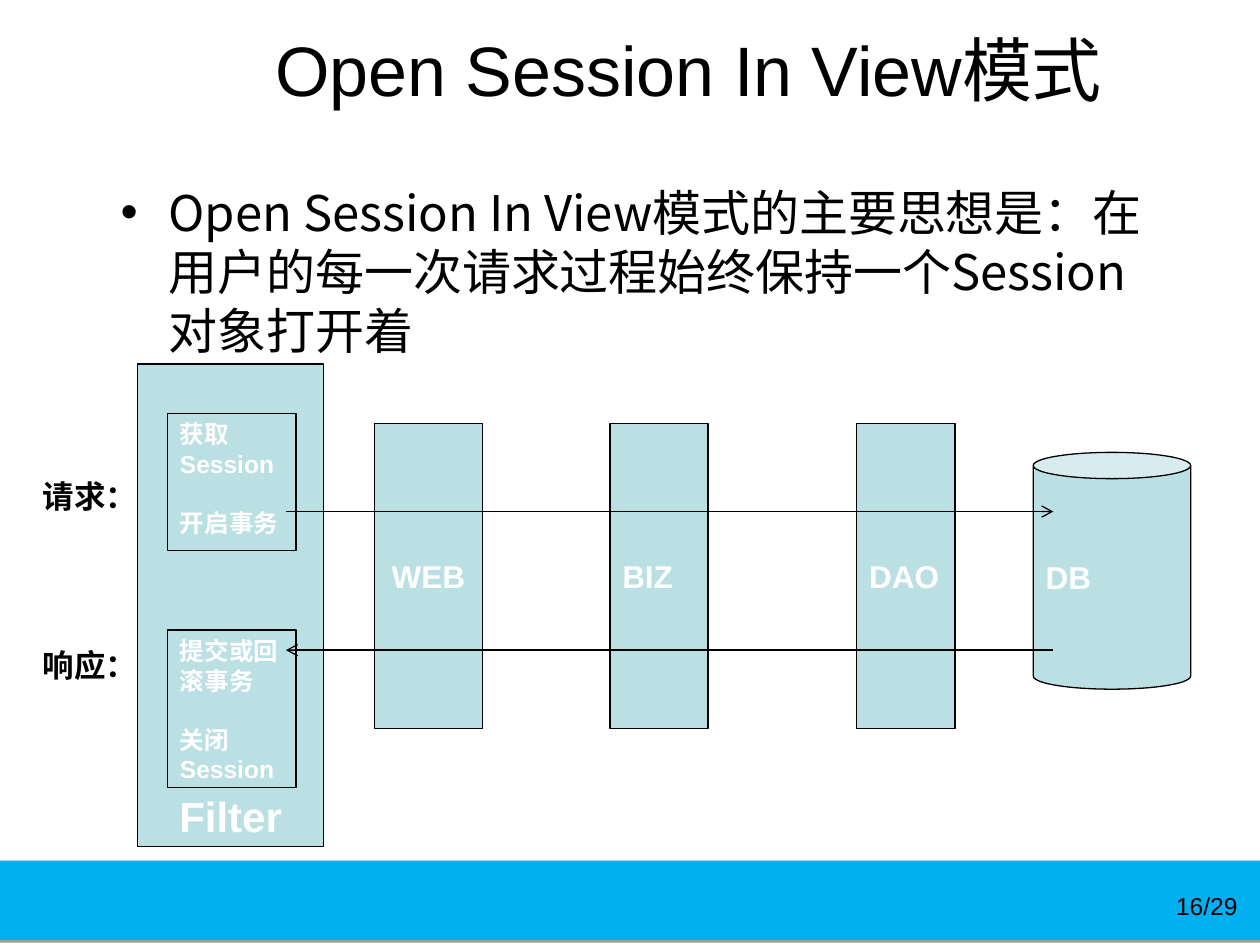
from pptx import Presentation
from pptx.util import Inches, Pt
from pptx.dml.color import RGBColor
from pptx.enum.shapes import MSO_CONNECTOR, MSO_SHAPE
from pptx.enum.text import MSO_ANCHOR, PP_ALIGN
from pptx.oxml import parse_xml
from pptx.oxml.ns import nsdecls
from lxml.etree import SubElement

COLORS = {"ink": "000000", "white": "FFFFFF", "footer": "00B0F0", "layer": "BBE0E3"}
CJK = "Noto Sans CJK SC"
LINE_WIDTH = Pt(0.74)


def rgb(name):
    return RGBColor.from_string(COLORS[name])


def write(shape, lines, size, color="ink", bold=False, font="Arial",
          align=PP_ALIGN.LEFT, anchor=MSO_ANCHOR.TOP, wrap=True, gap=0):
    frame = shape.text_frame
    frame.text = "\n".join(lines)
    frame.word_wrap = wrap
    frame.vertical_anchor = anchor
    for index, paragraph in enumerate(frame.paragraphs):
        paragraph.alignment = align
        if index:
            paragraph.space_before = Pt(gap)
        for run in paragraph.runs:
            run.font.size = Pt(size)
            run.font.bold = bold
            run.font.name = font
            run.font.color.rgb = rgb(color)
            SubElement(run.font._element, "{http://schemas.openxmlformats.org/drawingml/2006/main}ea",
                       typeface=CJK)
    return frame


def add_label(slide, box, text, size, **style):
    label = slide.shapes.add_textbox(*map(Inches, box))
    return write(label, [text], size, **style)


def add_block(slide, box, lines, size, kind=MSO_SHAPE.RECTANGLE, **style):
    block = slide.shapes.add_shape(kind, *map(Inches, box))
    block.shadow.inherit = False
    block.fill.solid()
    block.fill.fore_color.rgb = rgb("layer")
    block.line.color.rgb = rgb("ink")
    block.line.width = LINE_WIDTH
    write(block, lines, size, color="white", bold=True, **style)
    return block


def add_arrow(slide, start, end, y):
    arrow = slide.shapes.add_connector(
        MSO_CONNECTOR.STRAIGHT, Inches(start), Inches(y), Inches(end), Inches(y))
    arrow.line.color.rgb = rgb("ink")
    arrow.line.width = LINE_WIDTH
    arrow.line._get_or_add_ln().append(parse_xml(f'<a:tailEnd {nsdecls("a")} type="arrow"/>'))
    arrow._element.spPr.append(parse_xml(f'<a:effectLst {nsdecls("a")}/>'))


def add_footer(slide, left, top, width, height):
    band = slide.shapes.add_shape(
        MSO_SHAPE.RECTANGLE, *map(Inches, (left, top, width, height)))
    band.fill.solid()
    band.fill.fore_color.rgb = rgb("footer")
    band.line.fill.background()
    band._element.spPr.append(parse_xml(
        f'<a:effectLst {nsdecls("a")}><a:outerShdw dist="20320" dir="5400000" rotWithShape="0">'
        f'<a:srgbClr val="{COLORS["ink"]}"><a:alpha val="38000"/></a:srgbClr>'
        '</a:outerShdw></a:effectLst>'))
    add_label(slide, (left + 7.6, top + 0.19, 2.33, 0.4), "16/29", 14, align=PP_ALIGN.RIGHT)


def add_idea(slide, box):
    frame = add_label(
        slide, box,
        "Open Session In View模式的主要思想是：在用户的每一次请求过程始终保持一个Session对象打开着",
        28, font=CJK)
    idea = frame.paragraphs[0]
    idea.space_before = Pt(7)
    properties = idea._p.get_or_add_pPr()
    properties.set("marL", str(Inches(0.38)))
    properties.set("indent", str(Inches(-0.38)))
    properties.append(parse_xml(f'<a:buFont {nsdecls("a")} typeface="Arial"/>'))
    properties.append(parse_xml(f'<a:buChar {nsdecls("a")} char="•"/>'))


def add_filter(slide, left, top, width, height):
    add_block(slide, (left, top, width, height), ["Filter"], 24,
              align=PP_ALIGN.CENTER, anchor=MSO_ANCHOR.BOTTOM)
    steps = [(2.11, 1.25, ["提交或回滚事务", "关闭Session"]),
             (0.39, 1.09, ["获取Session", "开启事务"])]
    for offset, step_height, lines in steps:
        add_block(slide, (left + 0.24, top + offset, 1.02, step_height), lines, 14, gap=17)


def add_layers(slide, left, top, height):
    layers = [("WEB", 0, 0.86, PP_ALIGN.CENTER),
              ("BIZ", 1.87, 0.78, PP_ALIGN.LEFT),
              ("DAO", 3.83, 0.78, PP_ALIGN.LEFT)]
    for name, offset, width, align in layers:
        add_block(slide, (left + offset, top, width, height), [name], 18,
                  align=align, anchor=MSO_ANCHOR.MIDDLE)
    database = add_block(slide, (left + 5.23, top + 0.23, 1.25, 1.88), ["DB"], 18,
                         kind=MSO_SHAPE.CAN, anchor=MSO_ANCHOR.MIDDLE)
    database.adjustments[0] = 0.167


def add_flows(slide, left, top):
    flows = [("请求：", 0, 2.27, 8.36, 0.32), ("响应：", 1.34, 8.36, 2.27, 1.42)]
    for name, offset, start, end, arrow_offset in flows:
        add_arrow(slide, start, end, top + arrow_offset)
        add_label(slide, (left, top + offset, 0.95, 0.4), name, 18, bold=True, wrap=False)


def build_slide(deck):
    slide = deck.slides.add_slide(deck.slide_layouts[6])
    add_footer(slide, -0.01, 6.83, 10.01, 0.63)
    add_label(slide, (0.95, 0.02, 9.03, 1.05), "Open Session In View模式", 40,
              align=PP_ALIGN.CENTER, anchor=MSO_ANCHOR.MIDDLE)
    add_idea(slide, (0.86, 1.4, 8.36, 1.57))
    add_filter(slide, 1.09, 2.89, 1.48, 3.83)
    add_layers(slide, 2.97, 3.36, 2.42)
    add_flows(slide, 0.24, 3.74)


deck = Presentation()
deck.slide_width = Inches(10)
deck.slide_height = Inches(7.5)
build_slide(deck)
deck.save("out.pptx")
